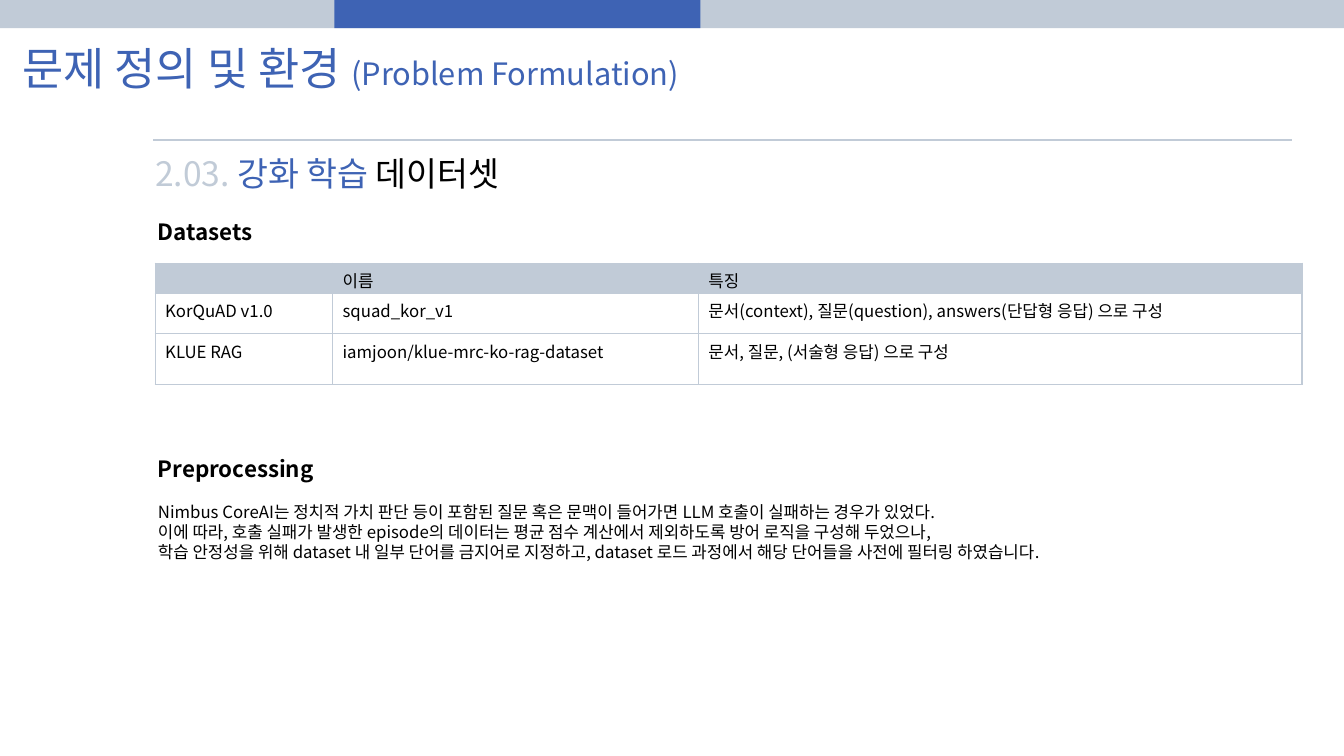
from lxml import etree
from pptx import Presentation
from pptx.dml.color import RGBColor
from pptx.enum.shapes import MSO_CONNECTOR, MSO_SHAPE
from pptx.enum.text import MSO_ANCHOR, MSO_AUTO_SIZE, PP_ALIGN
from pptx.oxml.ns import qn
from pptx.util import Cm, Pt

RECT = MSO_SHAPE.RECTANGLE
LINE = MSO_CONNECTOR.STRAIGHT
MIDDLE = MSO_ANCHOR.MIDDLE
NO_FIT = MSO_AUTO_SIZE.NONE
LEFT = PP_ALIGN.LEFT

FONT = "Noto Sans CJK KR"
COLORS = {"gray": "C1CBD7", "blue": "3E63B4", "black": "000000"}
ROWS = [
    ["", "이름", "특징"],
    ["KorQuAD v1.0", "squad_kor_v1",
     "문서(context), 질문(question), answers(단답형 응답) 으로 구성"],
    ["KLUE RAG", "iamjoon/klue-mrc-ko-rag-dataset",
     "문서, 질문, (서술형 응답) 으로 구성"],
]
WIDTHS = [4.47, 9.22, 15.21]
HEIGHTS = [0.76, 1.02, 1.27]
NOTES = [
    "Nimbus CoreAI는 정치적 가치 판단 등이 포함된 질문 혹은 문맥이 들어가면 LLM 호출이 실패하는 경우가 있었다.",
    "이에 따라, 호출 실패가 발생한 episode의 데이터는 평균 점수 계산에서 제외하도록 방어 로직을 구성해 두었으나,",
    "학습 안정성을 위해 dataset 내 일부 단어를 금지어로 지정하고, dataset 로드 과정에서 해당 단어들을 사전에 필터링 하였습니다.",
]


def rgb(name):
    """Look up a colour by name."""
    return RGBColor.from_string(COLORS[name])


def style(run, size, color="black", bold=False):
    """Set the font of a run for Latin and Korean text."""
    font = run.font
    font.name, font.size, font.bold = FONT, Pt(size), bold
    font.color.rgb = rgb(color)
    east = etree.SubElement(run._r.get_or_add_rPr(), qn("a:ea"))
    east.set("typeface", FONT)


def place(shape, left, top, width, height):
    """Move and size a shape in centimetres."""
    shape.left, shape.top = Cm(left), Cm(top)
    shape.width, shape.height = Cm(width), Cm(height)


def add_head(holder, box, parts):
    """Fill a placeholder with one line of coloured parts."""
    place(holder, *box)
    frame = holder.text_frame
    frame.margin_left = frame.margin_right = 0
    frame.margin_top = frame.margin_bottom = 0
    frame.vertical_anchor = MIDDLE
    frame.auto_size = NO_FIT
    para = frame.paragraphs[0]
    props = para._p.get_or_add_pPr()
    props.set("marL", "0")
    props.set("indent", "0")
    etree.SubElement(props, qn("a:buNone"))
    para.alignment = LEFT
    para.line_spacing = 0.9
    para.space_before = Pt(0)
    for text, size, color in parts:
        run = para.add_run()
        run.text = text
        style(run, size, color)


def add_bar(slide, left, width, color):
    """Draw a plain bar along the top edge."""
    bar = slide.shapes.add_shape(RECT, Cm(left), 0, Cm(width), Cm(0.71))
    bar.shadow.inherit = False
    bar.fill.solid()
    bar.fill.fore_color.rgb = rgb(color)
    bar.line.fill.background()


def add_rule(slide, left, right, top):
    """Draw a thin level line."""
    rule = slide.shapes.add_connector(LINE, Cm(left), Cm(top), Cm(right), Cm(top))
    rule.line.color.rgb = rgb("gray")
    rule.line.width = Pt(1)
    etree.SubElement(rule._element.spPr, qn("a:effectLst"))


def add_text(slide, box, text, size, bold=False):
    """Add a wrapped black text box."""
    frame = slide.shapes.add_textbox(*map(Cm, box)).text_frame
    frame.word_wrap = True
    para = frame.paragraphs[0]
    para.text = text
    for run in para.runs:
        style(run, size, bold=bold)


def add_edges(cell):
    """Put a thin border round a cell."""
    props = cell._tc.get_or_add_tcPr()
    for index, side in enumerate(("lnL", "lnR", "lnT", "lnB")):
        edge = etree.Element(qn(f"a:{side}"), w=str(Pt(1)))
        fill = etree.SubElement(edge, qn("a:solidFill"))
        etree.SubElement(fill, qn("a:srgbClr"), val=COLORS["gray"])
        props.insert(index, edge)


def add_grid(slide, left, top):
    """Add the table of datasets."""
    size = Cm(sum(WIDTHS)), Cm(sum(HEIGHTS))
    shape = slide.shapes.add_table(
        len(ROWS), len(WIDTHS), Cm(left), Cm(top), *size)
    table = shape.table
    table.first_row = table.horz_banding = False
    for col, width in zip(table.columns, WIDTHS):
        col.width = Cm(width)
    for r, texts in enumerate(ROWS):
        table.rows[r].height = Cm(HEIGHTS[r])
        for c, text in enumerate(texts):
            cell = table.cell(r, c)
            para = cell.text_frame.paragraphs[0]
            if text:
                para.text = text
                style(para.runs[0], 12)
            else:
                para._p.get_or_add_endParaRPr().set("sz", "1200")
            if r == 0:
                cell.fill.solid()
                cell.fill.fore_color.rgb = rgb("gray")
            else:
                cell.fill.background()
            add_edges(cell)


def main():
    """Build and save the slide."""
    deck = Presentation()
    deck.slide_width, deck.slide_height = Cm(33.87), Cm(19.05)
    slide = deck.slides.add_slide(deck.slide_layouts[1])
    title, body = slide.placeholders
    add_head(body, (3.91, 3.96, 11.38, 0.91), [
        ("2.03. ", 24, "gray"), ("강화 학습 ", 24, "blue"),
        ("데이터셋", 24, "black")])
    add_bar(slide, 0, 33.87, "gray")
    add_rule(slide, 3.86, 32.56, 3.53)
    add_text(slide, (3.73, 5.38, 3.71, 0.94), "Datasets", 16, True)
    add_grid(slide, 3.91, 6.63)
    add_text(slide, (3.73, 11.35, 6.63, 0.94), "Preprocessing", 16, True)
    add_text(slide, (3.73, 12.52, 28.5, 1.8), "\v".join(NOTES), 12)
    add_head(title, (0.56, 1.17, 32.05, 1.22), [
        ("문제 정의 및 환경 ", 32, "blue"),
        ("(Problem Formulation)", 22, "blue")])
    add_bar(slide, 8.43, 9.22, "blue")
    deck.save("out.pptx")


if __name__ == "__main__":
    main()
